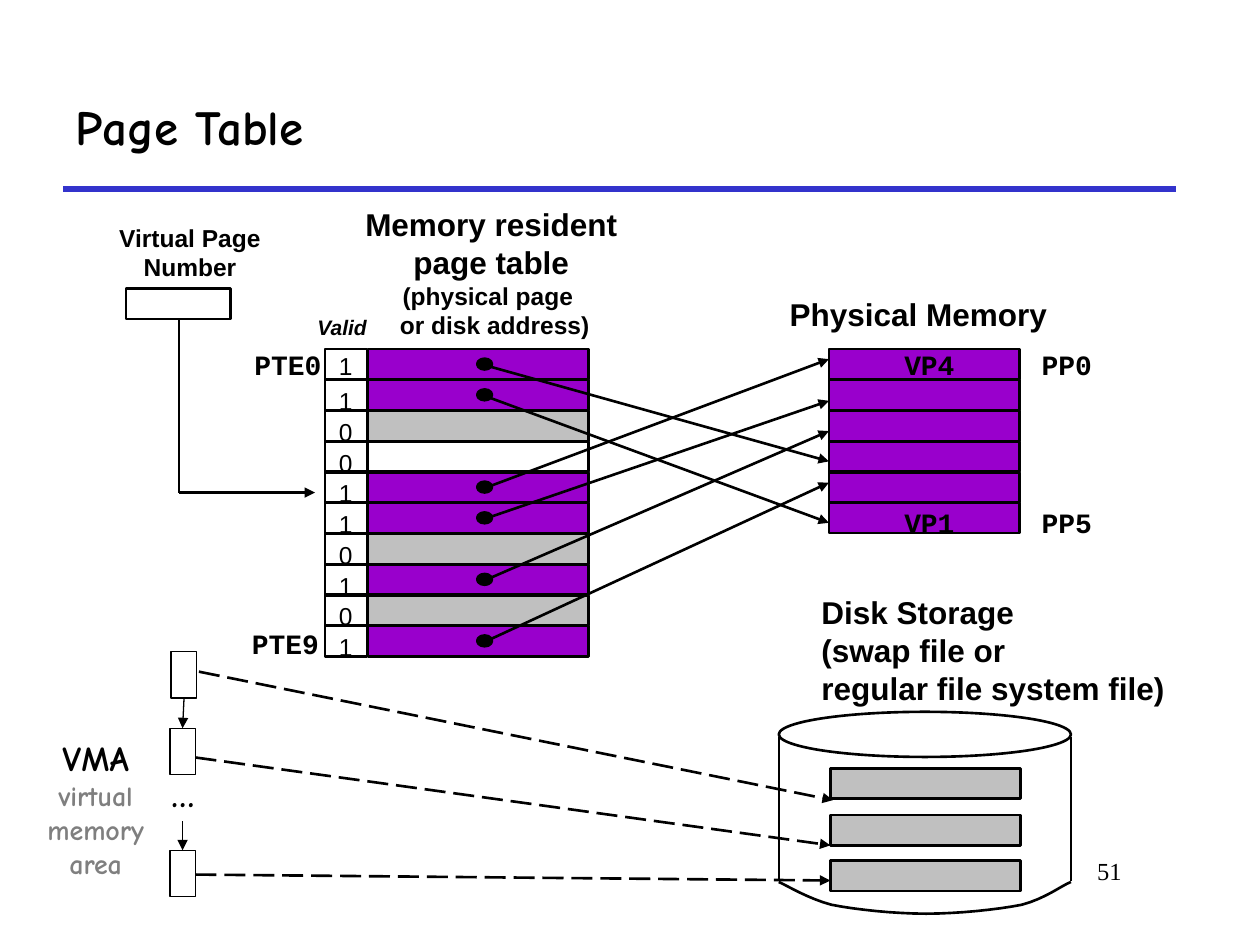
from pptx import Presentation
from pptx import util as u
from pptx.dml.color import RGBColor
from pptx.enum import dml, shapes, text
from pptx.oxml import parse_xml
from pptx.oxml.ns import nsdecls

BLACK, WHITE, PURPLE, SILVER, GREY, BLUE = "000000", "FFFFFF", "9900CC", "C0C0C0", "7F7F7F", "3333CC"
LEFT, CENTER, RIGHT = text.PP_ALIGN.LEFT, text.PP_ALIGN.CENTER, text.PP_ALIGN.RIGHT
SANS, MONO, HAND = "Arial", "Courier New", "Comic Neue"

TOP, PITCH, ROW = 7.04, 0.62, 0.61
VALID_X, ENTRY_X, MEMORY_X, DOT_X = 6.55, 7.42, 16.71, 9.77

ENTRIES = [
    ("1", PURPLE, 9.30), ("1", PURPLE, 10.54), ("0", SILVER, None), ("0", WHITE, None),
    ("1", PURPLE, 7.24), ("1", PURPLE, 8.08), ("0", SILVER, None), ("1", PURPLE, 8.69),
    ("0", SILVER, None), ("1", PURPLE, 9.73),
]
FRAMES = 6
DISK_BLOCKS = [15.49, 16.43, 17.35]
AREAS = [(3.45, 13.13), (3.43, 14.68), (3.43, 17.14)]

LABELS = [
    ((19.25, 17.14, 3.61, 1.27), [("51", 14)], "Times New Roman", RIGHT, False, True),
    ((7.11, 4.01, 5.59, 2.97), [("Memory resident", 18), ("page table", 18),
                                ("(physical page ", 14), (" or disk address)", 14)], SANS, CENTER, True, False),
    ((15.67, 5.82, 5.69, 1.02), [("Physical Memory", 18)], SANS, LEFT, True, False),
    ((16.31, 11.84, 7.42, 2.54), [("Disk Storage", 18), ("(swap file or", 18),
                                  ("regular file system file)", 18)], SANS, LEFT, True, False),
    ((1.83, 4.37, 4, 1.45), [("Virtual Page", 14), ("Number", 14)], SANS, CENTER, True, False),
    ((3.2, 15.44, 0.97, 1.12), [("…", 20)], HAND, LEFT, True, False),
]
TAGS = [
    ("PTE0", 4.62, 6.88, RIGHT), ("PTE9", 4.57, 12.5, RIGHT),
    ("PP0", 20.75, 6.88, LEFT), ("PP5", 20.75, 10.06, LEFT),
    ("VP4", 17.98, 6.88, LEFT), ("VP1", 17.98, 10.06, LEFT),
]
AREA_NAME = [("VMA", 20), ("virtual", 16), ("memory", 16), ("area", 16)]

DISK_LINKS = [(4.01, 13.54, 16.79, 16.13), (3.94, 15.27, 16.74, 17.04), (3.94, 17.63, 16.74, 17.75)]
AREA_LINKS = [(3.71, 14.07, 3.68, 14.68), (3.68, 16.56, 3.68, 17.14)]
DISK_BOTTOM = [
    [(15.7, 17.78), (15.88, 17.86), (16.28, 18.11), (16.76, 18.24)],
    [(16.76, 18.24), (17.27, 18.34), (18.03, 18.42), (18.67, 18.42)],
    [(18.67, 18.42), (19.3, 18.42), (20.09, 18.34), (20.6, 18.24)],
    [(20.6, 18.24), (21.08, 18.11), (21.39, 17.86), (21.59, 17.78)],
]

deck = Presentation()
deck.slide_width, deck.slide_height = u.Cm(25.4), u.Cm(19.05)
page = deck.slides.add_slide(deck.slide_layouts[6])


def color(value):
    return RGBColor.from_string(value)


def finish(shape, fill, width):
    shape.shadow.inherit = False
    if fill:
        shape.fill.solid()
        shape.fill.fore_color.rgb = color(fill)
    else:
        shape.fill.background()
    shape.line.color.rgb = color(BLACK)
    shape.line.width = u.Pt(width)


def figure(x, y, w, h, fill=None, width=1.5, kind=shapes.MSO_SHAPE.RECTANGLE):
    shape = page.shapes.add_shape(kind, u.Cm(x), u.Cm(y), u.Cm(w), u.Cm(h))
    finish(shape, fill, width)


def line(x1, y1, x2, y2, width=1.5, arrow=True, dashed=False, ink=BLACK):
    link = page.shapes.add_connector(shapes.MSO_CONNECTOR.STRAIGHT, u.Cm(x1), u.Cm(y1), u.Cm(x2), u.Cm(y2))
    link.line.color.rgb = color(ink)
    link.line.width = u.Pt(width)
    if dashed:
        link.line.dash_style = dml.MSO_LINE.LONG_DASH
    if arrow:
        link.line._get_or_add_ln().append(parse_xml(f'<a:tailEnd {nsdecls("a")} type="triangle"/>'))
    link._element.spPr.append(parse_xml(f'<a:effectLst {nsdecls("a")}/>'))


def label(place, lines, face, align=LEFT, bold=True, wrap=False, italic=False):
    box = page.shapes.add_textbox(*map(u.Cm, place))
    frame = box.text_frame
    frame.text = "\n".join(words for words, size in lines)
    frame.word_wrap = wrap
    for para, (words, size) in zip(frame.paragraphs, lines):
        para.alignment = align
        for span in para.runs:
            span.font.name, span.font.size = face, u.Pt(size)
            span.font.bold, span.font.italic = bold, italic
            span.font.color.rgb = color(BLACK)
    return frame


def bezier(curve, t):
    weights = ((1 - t) ** 3, 3 * t * (1 - t) ** 2, 3 * t * t * (1 - t), t ** 3)
    return tuple(u.Cm(sum(w * p[axis] for w, p in zip(weights, curve))) for axis in (0, 1))


line(1.27, 3.81, 23.7, 3.81, width=3, arrow=False, ink=BLUE)
title = label((1.27, 1.27, 22.43, 2.54), [("Page Table", 28)], HAND, wrap=True)
title.vertical_anchor = text.MSO_ANCHOR.MIDDLE

for row, (valid, fill, target) in enumerate(ENTRIES):
    y = TOP + row * PITCH
    figure(ENTRY_X, y, 4.45, ROW, fill)
    figure(VALID_X, y, 0.85, ROW)
    label((6.58, y if row else y - 0.08, 0.79, 0.86), [(valid, 14)], SANS, bold=False)
    if target:
        figure(DOT_X - 0.14, y + 0.2, 0.28, 0.2, BLACK, 2, shapes.MSO_SHAPE.OVAL)

for row in range(FRAMES):
    figure(MEMORY_X, TOP + row * PITCH, 3.84, ROW, PURPLE)

for row, (valid, fill, target) in enumerate(ENTRIES):
    if target:
        line(DOT_X, TOP + row * PITCH + 0.32, MEMORY_X, target)

figure(15.7, 14.35, 5.89, 0.91, kind=shapes.MSO_SHAPE.OVAL)
for x in (15.7, 21.59):
    line(x, 14.86, x, 17.76, arrow=False)
STEPS = 8
points = [bezier(curve, step / STEPS) for curve in DISK_BOTTOM for step in range(STEPS + 1)]
rim = page.shapes.build_freeform(*points[0])
rim.add_line_segments(points[1:], close=False)
finish(rim.convert_to_shape(), None, 1.5)
for y in DISK_BLOCKS:
    figure(16.74, y, 3.84, ROW, SILVER)
for ends in DISK_LINKS:
    line(*ends, dashed=True)

figure(2.54, 5.82, 2.11, ROW, WHITE)
line(3.61, 6.43, 3.61, 9.93, arrow=False)
line(3.61, 9.93, 6.35, 9.93)

for x, y in AREAS:
    figure(x, y, 0.51, 0.94, width=0.75)
for ends in AREA_LINKS:
    line(*ends, width=0.75)

for place, lines, face, align, bold, wrap in LABELS:
    label(place, lines, face, align, bold, wrap)
label((6.15, 6.22, 1.7, 0.76), [("Valid", 12)], SANS, wrap=True, italic=True)
for words, x, y, align in TAGS:
    label((x, y, 2.11, 0.94), [(words, 16)], MONO, align, wrap=True)
area = label((0.43, 14.73, 3, 3.15), AREA_NAME, HAND, CENTER)
for para in area.paragraphs[1:]:
    para.runs[0].font.color.rgb = color(GREY)

deck.save("out.pptx")
